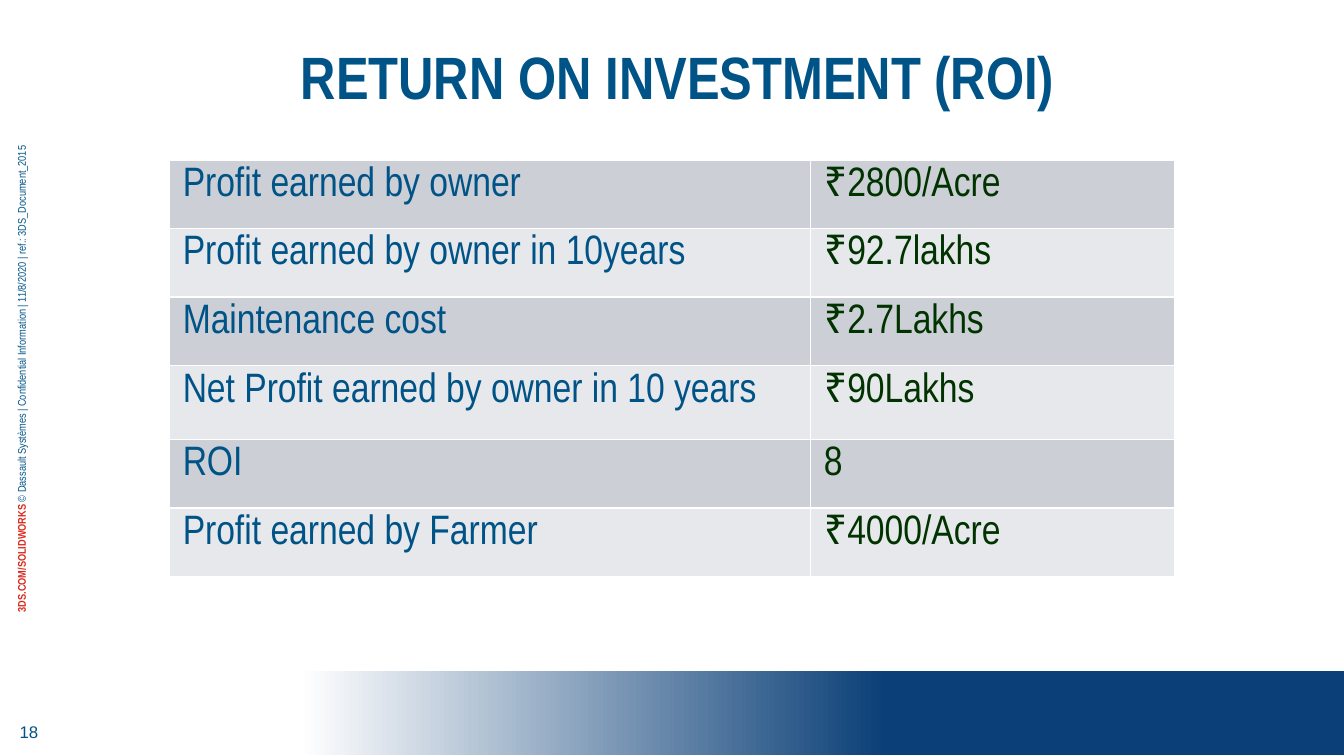
from dataclasses import dataclass

from lxml import etree
from pptx import Presentation
from pptx.dml.color import RGBColor
from pptx.enum.shapes import MSO_SHAPE
from pptx.enum.text import MSO_ANCHOR, PP_ALIGN
from pptx.oxml.ns import qn
from pptx.util import Inches, Pt

CENTER = PP_ALIGN.CENTER
MIDDLE = MSO_ANCHOR.MIDDLE
RECTANGLE = MSO_SHAPE.RECTANGLE

BLUE, NAVY, RED, GREEN, WHITE = "005386", "0B3F77", "DA291C", "003300", "FFFFFF"
BANDS = ("CCCFD6", "E7E8EC")
NARROW = "Arial Narrow"
COLUMN_WIDTHS = (4.77, 2.71)
ROW_HEIGHT = 0.51


@dataclass
class Entry:
    label: str
    value: str
    height: float = ROW_HEIGHT


ENTRIES = [
    Entry("Profit earned by owner", "₹2800/Acre"),
    Entry("Profit earned by owner in 10years", "₹92.7lakhs"),
    Entry("Maintenance cost", "₹2.7Lakhs"),
    Entry("Net Profit earned by owner in 10 years", "₹90Lakhs", 0.55),
    Entry("ROI", "8"),
    Entry("Profit earned by Farmer", "₹4000/Acre"),
]


def rgb(color: str) -> RGBColor:
    return RGBColor.from_string(color)


def format_font(font, size: float, color: str, name: str = NARROW, bold: bool = False) -> None:
    font.size, font.name, font.bold = Pt(size), name, bold
    font.color.rgb = rgb(color)


def add_band(slide) -> None:
    band = slide.shapes.add_shape(
        RECTANGLE, Inches(1.47), Inches(4.99), Inches(8.53), Inches(0.63))
    band.shadow.inherit = False
    band.line.fill.background()
    band.fill.gradient()
    band.fill.gradient_angle = 0
    for stop, position, color in zip(band.fill.gradient_stops, (0.09, 0.6), (WHITE, NAVY)):
        stop.position = position
        stop.color.rgb = rgb(color)


def add_centered_box(slide, left: float, top: float, width: float, height: float):
    box = slide.shapes.add_textbox(Inches(left), Inches(top), Inches(width), Inches(height))
    box.text_frame.word_wrap = True
    box.text_frame.paragraphs[0].alignment = CENTER
    return box


def add_page_number(slide) -> None:
    box = add_centered_box(slide, 0, 5.25, 0.43, 0.39)
    box.text_frame.vertical_anchor = MIDDLE
    run = box.text_frame.paragraphs[0].add_run()
    run.text = "18"
    format_font(run.font, 9, BLUE, "Arial")


def add_side_note(slide) -> None:
    box = add_centered_box(slide, -2.66, 2.72, 5.64, 0.2)
    box.rotation = 270
    for text, color, bold in (
        ("3DS.COM/SOLIDWORKS ", RED, True),
        ("© Dassault Systèmes | Confidential Information | 11/8/2020 | ref.: 3DS_Document_2015",
         BLUE, False),
    ):
        run = box.text_frame.paragraphs[0].add_run()
        run.text = text
        format_font(run.font, 6, color, bold=bold)


def set_title(slide) -> None:
    title = slide.shapes.title
    title.left, title.top = Inches(0.5), Inches(0.24)
    title.width, title.height = Inches(9.09), Inches(0.64)
    title.text_frame.text = "RETURN ON INVESTMENT (ROI)"
    title.text_frame.vertical_anchor = MIDDLE
    paragraph = title.text_frame.paragraphs[0]
    paragraph.alignment = CENTER
    format_font(paragraph.runs[0].font, 32, BLUE, bold=True)


def set_borders(cell, color: str, width: float) -> None:
    properties = cell._tc.get_or_add_tcPr()
    for index, side in enumerate(("a:lnL", "a:lnR", "a:lnT", "a:lnB")):
        line = etree.Element(qn(side), w=str(Pt(width)))
        fill = etree.SubElement(line, qn("a:solidFill"))
        etree.SubElement(fill, qn("a:srgbClr"), val=color)
        properties.insert(index, line)


def fill_cell(cell, text: str, color: str, background: str) -> None:
    cell.fill.solid()
    cell.fill.fore_color.rgb = rgb(background)
    set_borders(cell, WHITE, 1)
    cell.text_frame.text = text
    format_font(cell.text_frame.paragraphs[0].runs[0].font, 22, color)


def add_roi_table(slide) -> None:
    height = sum(entry.height for entry in ENTRIES)
    table = slide.shapes.add_table(
        len(ENTRIES), len(COLUMN_WIDTHS), Inches(1.26), Inches(1.19),
        Inches(sum(COLUMN_WIDTHS)), Inches(height)).table
    for column, width in zip(table.columns, COLUMN_WIDTHS):
        column.width = Inches(width)
    for index, entry in enumerate(ENTRIES):
        table.rows[index].height = Inches(entry.height)
        background = BANDS[index % 2]
        fill_cell(table.cell(index, 0), entry.label, BLUE, background)
        fill_cell(table.cell(index, 1), entry.value, GREEN, background)


def main() -> None:
    presentation = Presentation()
    # Widescreen page, 16 to 9
    presentation.slide_width = Inches(10)
    presentation.slide_height = Inches(10 * 9 / 16)
    slide = presentation.slides.add_slide(presentation.slide_layouts[5])

    # Frame of the page
    add_band(slide)
    add_page_number(slide)
    add_side_note(slide)

    # Content
    set_title(slide)
    add_roi_table(slide)

    presentation.save("out.pptx")


if __name__ == "__main__":
    main()
